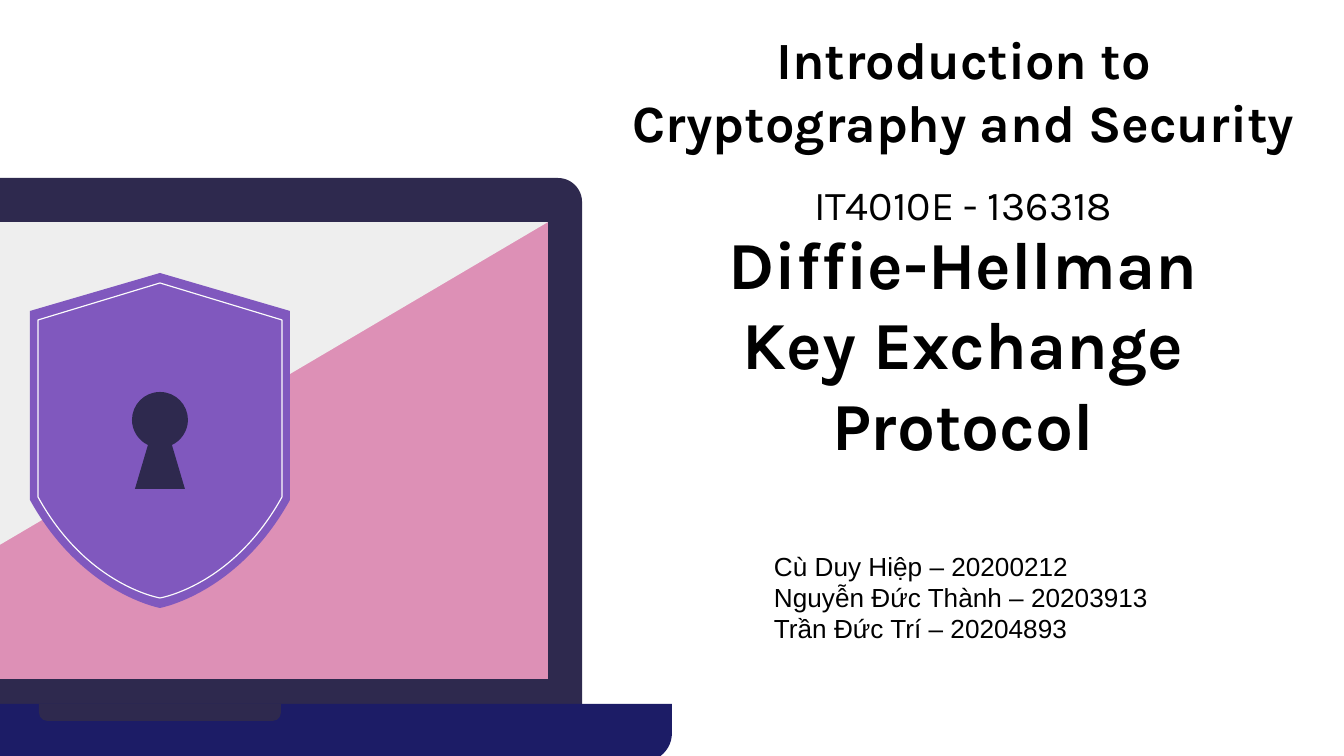
from lxml import etree
from pptx import Presentation
from pptx import util as u
from pptx.dml.color import RGBColor
from pptx.enum import shapes, text
from pptx.oxml.ns import qn

PX = 914400 / 134.4  # EMU per px
SLIDE = (1344, 756)

THEME = {
    "ink": "000000", "dark": "2E294E", "base": "1C1C66", "pink": "DD90B6",
    "light": "EEEEEE", "shield": "8058BE", "rim": "FCFCFC",
    "display": "Karla", "plain": "Arial",
    "course_size": 28, "code_size": 22, "topic_size": 36, "author_size": 14,
}

COURSE = ["Introduction to\vCryptography and Security"]
CODE = ["IT4010E - 136318"]
TOPIC = ["Diffie-Hellman", "Key Exchange Protocol"]
AUTHORS = ["Cù Duy Hiệp – 20200212", "Nguyễn Đức Thành – 20203913",
           "Trần Đức Trí – 20204893"]

# Left, top, right, bottom in px
SCREEN = (-228, 222, 548, 679)
# Bounds, top radius, bottom radius, colour
LAPTOP = [
    ((-262, 178, 582, 704), 24, 0, "dark"),
    (SCREEN, 0, 0, "pink"),
    ((-352, 704, 672, 762), 0, 30, "base"),
    ((39, 704, 281, 721), 0, 9, "dark"),
]
EMBLEM_X = 160
# Left halves from top to bottom, as (distance from the middle, height);
# a segment of one point is a line, one of three points is a curve
SHIELD = [[(0, 273)], [(-130, 311)], [(-130, 500)],
          [(-78, 594), (0, 608), (0, 608)]]
SHIELD_RIM = [[(0, 283)], [(-122, 320)], [(-122, 497)],
              [(-73, 586), (0, 598), (0, 598)]]
KEYHOLE = [[(0, 392)], [(-16, 392), (-28, 405), (-28, 420)],
           [(-28, 431), (-21, 441), (-12, 445)], [(-25, 489)], [(0, 489)]]


def emu(px):
    return u.Emu(round(px * PX))


def colour(name):
    return RGBColor.from_string(THEME[name])


def paint(shape, fill=None, line=None, width=0.61):
    shape.shadow.inherit = False
    if fill:
        shape.fill.solid()
        shape.fill.fore_color.rgb = colour(fill)
    else:
        shape.fill.background()
    if line:
        shape.line.color.rgb = colour(line)
        shape.line.width = u.Pt(width)
    else:
        shape.line.fill.background()


def add_panel(slide, bounds, top_radius, bottom_radius, fill):
    left, top, right, bottom = bounds
    width, height = right - left, bottom - top
    rounded = top_radius or bottom_radius
    kind = (shapes.MSO_SHAPE.ROUND_2_SAME_RECTANGLE if rounded
            else shapes.MSO_SHAPE.RECTANGLE)
    panel = slide.shapes.add_shape(kind, *map(emu, (left, top, width, height)))
    if rounded:
        for index, radius in enumerate((top_radius, bottom_radius)):
            panel.adjustments[index] = radius / min(width, height)
    paint(panel, fill)


def add_outline(slide, segments, **look):
    """Draw a closed outline, joining each three-point segment into a curve."""
    (start,), *rest = segments
    builder = slide.shapes.build_freeform(*start, scale=PX)
    builder.add_line_segments([point for part in rest for point in part])
    outline = builder.convert_to_shape()
    steps = iter(list(outline.element.iter(qn("a:lnTo"))))
    for part in rest:
        lines = [next(steps) for _ in part]
        if len(part) == 3:
            curve = etree.Element(qn("a:cubicBezTo"))
            lines[0].addprevious(curve)
            for line in lines:
                curve.append(line[0])
                line.getparent().remove(line)
    paint(outline, **look)


def mirrored(half):
    """Whole emblem outline from its left half."""
    points = [point for part in half for point in part]
    back = [(-x, y) for x, y in reversed(points[:-1])]
    right = []
    for part in reversed(half[1:]):
        right.append(back[:len(part)])
        back = back[len(part):]
    return [[(EMBLEM_X + x, y) for x, y in part] for part in half + right]


def write(box, bounds, lines, font, size, bold=False, centred=True,
          bottom=False, inset=(13, 13)):
    box.left, box.top, box.width, box.height = map(emu, bounds)
    frame = box.text_frame
    frame.text = "\n".join(lines)
    frame.word_wrap = True
    frame.auto_size = text.MSO_AUTO_SIZE.NONE
    frame.vertical_anchor = (text.MSO_ANCHOR.BOTTOM if bottom
                             else text.MSO_ANCHOR.TOP)
    frame.margin_left = frame.margin_right = emu(inset[0])
    frame.margin_top = frame.margin_bottom = emu(inset[1])
    for paragraph in frame.paragraphs:
        paragraph.alignment = (text.PP_ALIGN.CENTER if centred
                               else text.PP_ALIGN.LEFT)
        for run in paragraph.runs:
            run.font.name = THEME[font]
            run.font.size = u.Pt(THEME[size])
            run.font.bold = bold
            run.font.color.rgb = colour("ink")


def add_text(slide, bounds, *args, **options):
    write(slide.shapes.add_textbox(0, 0, 0, 0), bounds, *args, **options)


def main():
    deck = Presentation()
    deck.slide_width, deck.slide_height = map(emu, SLIDE)
    slide = deck.slides.add_slide(deck.slide_layouts[5])

    write(slide.shapes.title, (595, 22, 737, 144), COURSE,
          "display", "course_size", bold=True, bottom=True)
    add_text(slide, (701, 166, 524, 71), CODE, "display", "code_size")

    for panel in LAPTOP:
        add_panel(slide, *panel)
    left, top, right, bottom = SCREEN
    add_outline(slide, [[(left, top)], [(left, bottom)], [(right, top)]],
                fill="light")
    add_outline(slide, mirrored(SHIELD), fill="shield")
    add_outline(slide, mirrored(SHIELD_RIM), line="rim")
    add_outline(slide, mirrored(KEYHOLE), fill="dark")

    add_text(slide, (761, 543, 405, 109), AUTHORS, "plain", "author_size",
             centred=False, inset=(13, 7))
    add_text(slide, (592, 305, 742, 172), TOPIC, "display", "topic_size",
             bold=True, bottom=True, inset=(20, 13))
    deck.save("out.pptx")


if __name__ == "__main__":
    main()
